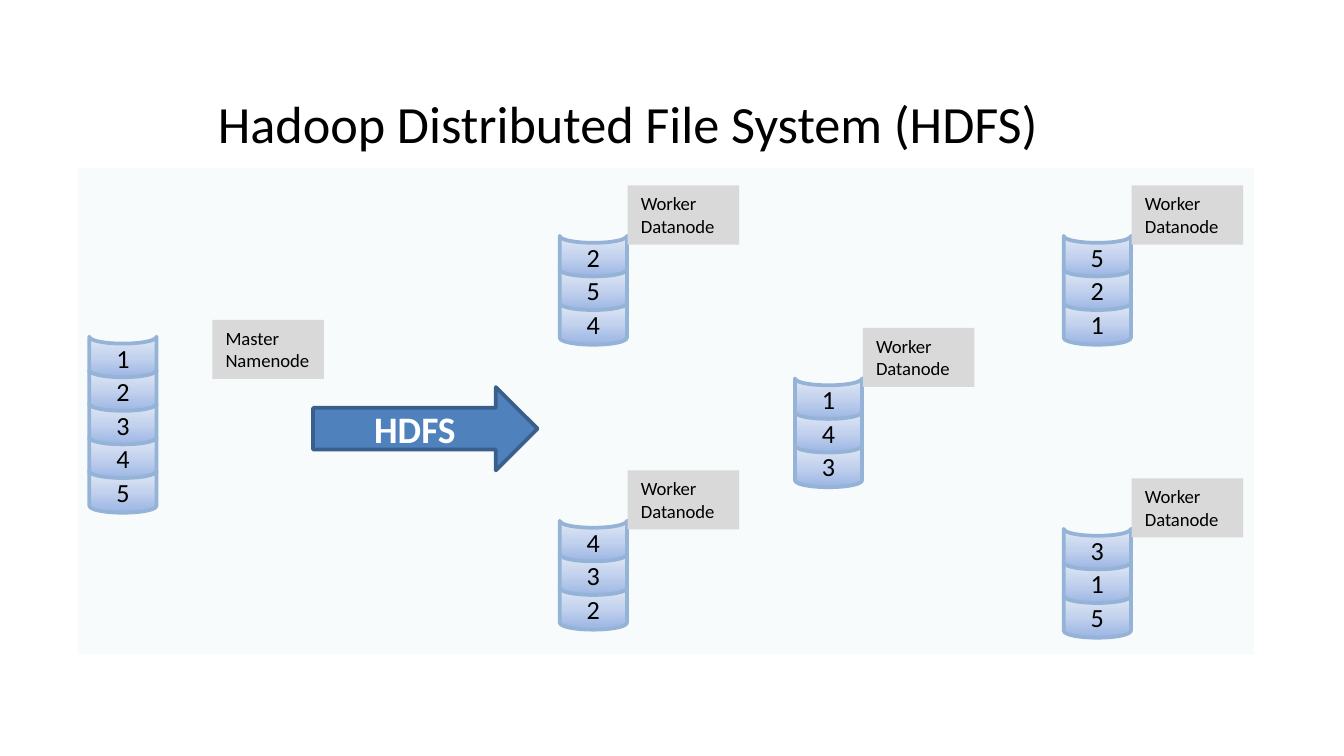
import copy
from dataclasses import dataclass

import pptx
import pptx.dml.color
import pptx.enum.shapes
import pptx.enum.text
import pptx.oxml.ns
import pptx.util
from pptx.util import Inches

COLORS = {
    "black": "000000",
    "white": "FFFFFF",
    "panel": "DBEEF4",
    "block_line": "95B3D7",
    "block_dark": "9AB5E4",
    "block_middle": "C2D1ED",
    "block_light": "E1E8F5",
    "arrow": "4F81BD",
    "arrow_line": "3A5F8C",
    "label": "D9D9D9",
}
FONT = "Calibri"
SLIDE_WIDTH = 10
SLIDE_HEIGHT = SLIDE_WIDTH * 9 / 16
BLOCK_WIDTH, BLOCK_HEIGHT = 0.31, 0.5  # before the quarter turn
BLOCK_STEP = 0.25
WORKER_LABEL = "Worker\nDatanode"
WORKER_LABEL_OFFSET = (0.41, -0.28)
MSO_SHAPE = pptx.enum.shapes.MSO_SHAPE
PP_ALIGN = pptx.enum.text.PP_ALIGN
MSO_ANCHOR = pptx.enum.text.MSO_ANCHOR


@dataclass(frozen=True)
class Node:
    """A stack of numbered data blocks with its label."""

    left: float
    top: float
    blocks: str
    label: str = WORKER_LABEL
    label_offset: tuple[float, float] = WORKER_LABEL_OFFSET


NODES = [
    Node(4.26, 1.66, "254"),
    Node(0.76, 2.41, "12345", "Master\nNamenode", (0.82, -0.03)),
    Node(8.01, 1.66, "521"),
    Node(8.01, 3.84, "315"),
    Node(4.26, 3.78, "432"),
    Node(6.01, 2.72, "143"),
]


def color(name: str) -> pptx.dml.color.RGBColor:
    return pptx.dml.color.RGBColor.from_string(COLORS[name])


def write_text(shape, text: str, size: int, color_name: str = "black",
               align=PP_ALIGN.CENTER, anchor=MSO_ANCHOR.MIDDLE, bold: bool = False) -> None:
    frame = shape.text_frame
    frame.text = text
    frame.word_wrap = True
    frame.vertical_anchor = anchor
    for paragraph in frame.paragraphs:
        paragraph.alignment = align
        paragraph.font.name = FONT
        paragraph.font.size = pptx.util.Pt(size)
        paragraph.font.bold = bold
        paragraph.font.color.rgb = color(color_name)


def add_shape(slide, kind, left: float, top: float, width: float, height: float,
              fill: str | None = None, line: str | None = None):
    shape = slide.shapes.add_shape(kind, Inches(left), Inches(top), Inches(width), Inches(height))
    shape.shadow.inherit = False
    if fill:
        shape.fill.solid()
        shape.fill.fore_color.rgb = color(fill)
    if line:
        shape.line.color.rgb = color(line)
        shape.line.width = pptx.util.Pt(2)
    else:
        shape.line.fill.background()
    return shape


def fill_block_gradient(shape) -> None:
    shape.fill.gradient()
    shape.fill.gradient_angle = 0
    stop_list = shape._element.spPr.find(".//" + pptx.oxml.ns.qn("a:gsLst"))
    stop_list.insert(1, copy.deepcopy(stop_list[0]))
    names = ("block_dark", "block_middle", "block_light")
    for index, (stop, name) in enumerate(zip(shape.fill.gradient_stops, names)):
        stop.position = index / 2
        stop.color.rgb = color(name)


def add_blocks(slide, node: Node) -> None:
    for index, number in enumerate(node.blocks):
        block = add_shape(slide, MSO_SHAPE.FLOWCHART_STORED_DATA, node.left,
                          node.top + index * BLOCK_STEP, BLOCK_WIDTH, BLOCK_HEIGHT,
                          line="block_line")
        block.rotation = 270
        fill_block_gradient(block)
        write_text(block, number, 14)
        # Vertical text undoes the quarter turn, so the number stands upright.
        block.text_frame._txBody.bodyPr.set("vert", "vert")


def add_label(slide, node: Node) -> None:
    offset_x, offset_y = node.label_offset
    label = add_shape(slide, MSO_SHAPE.RECTANGLE, node.left + offset_x, node.top + offset_y,
                      0.83, 0.44, fill="label")
    write_text(label, node.label, 10, align=PP_ALIGN.LEFT, anchor=MSO_ANCHOR.TOP)
    label.text_frame.auto_size = pptx.enum.text.MSO_AUTO_SIZE.SHAPE_TO_FIT_TEXT


def add_panel(slide) -> None:
    panel = add_shape(slide, MSO_SHAPE.RECTANGLE, 0.58, 1.25, 8.75, 3.62, fill="panel")
    fill_color = panel._element.spPr.find(".//" + pptx.oxml.ns.qn("a:srgbClr"))
    alpha = pptx.oxml.parse_xml(f'<a:alpha {pptx.oxml.ns.nsdecls("a")} val="20000"/>')
    fill_color.append(alpha)


def main() -> None:
    presentation = pptx.Presentation()
    presentation.slide_width = Inches(SLIDE_WIDTH)
    presentation.slide_height = Inches(SLIDE_HEIGHT)
    slide = presentation.slides.add_slide(presentation.slide_layouts.get_by_name("Title Only"))

    title = slide.shapes.title
    title.left, title.top = Inches(0.17), Inches(0.44)
    title.width, title.height = Inches(9), Inches(0.94)
    write_text(title, "Hadoop Distributed File System (HDFS)", 28)

    add_panel(slide)
    for node in NODES:
        add_blocks(slide, node)
    arrow = add_shape(slide, MSO_SHAPE.RIGHT_ARROW, 2.33, 2.88, 1.67, 0.62,
                      fill="arrow", line="arrow_line")
    write_text(arrow, "HDFS", 20, "white", bold=True)
    for node in NODES:
        add_label(slide, node)

    presentation.save("out.pptx")


if __name__ == "__main__":
    main()
